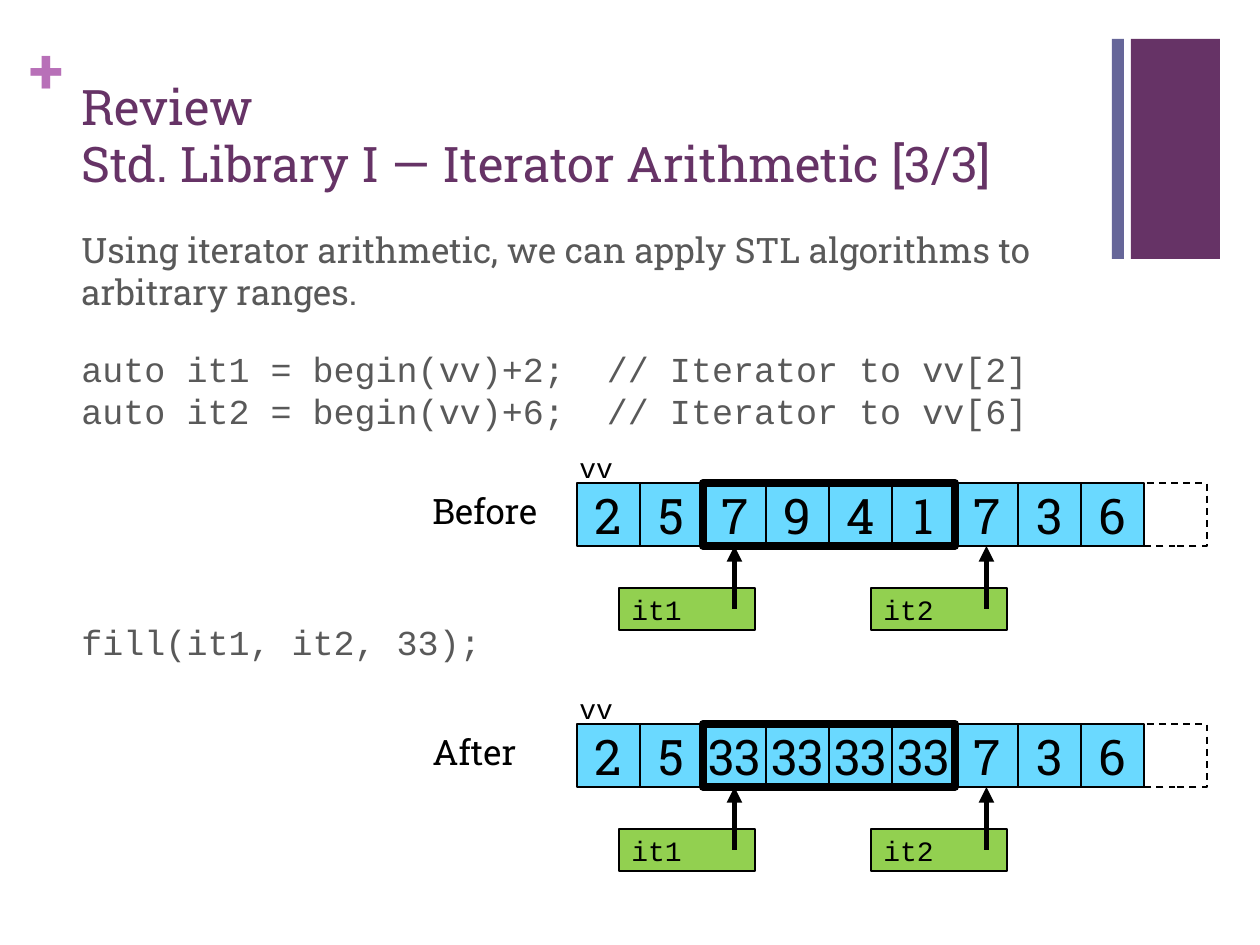
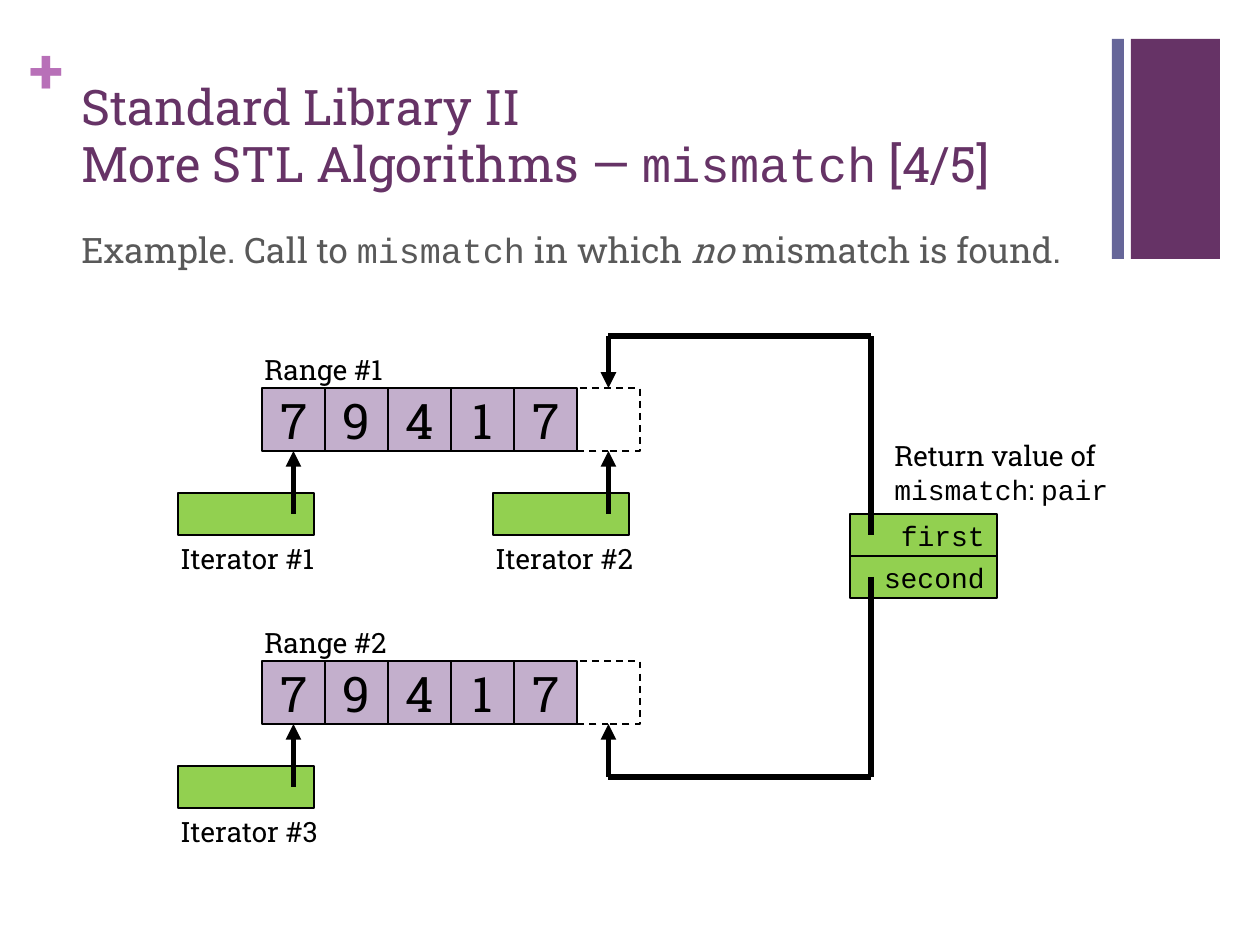
from itertools import pairwise
from lxml import etree
from pptx import Presentation
from pptx import util as u
from pptx.dml.color import RGBColor
from pptx.enum import dml, shapes, text
from pptx.oxml.ns import qn

PX = 914400 / 126
HUE = {
    "plum": "663366", "slate": "666699", "orchid": "B870B8", "gray": "595959",
    "black": "000000", "sky": "6AD9FF", "green": "92D050", "lilac": "C3AFCC",
}
SLAB, MONO = "Roboto Slab", "Courier New"
CODE = {"name": MONO}
MID = text.MSO_ANCHOR.MIDDLE
CELL = 63


def box(page, x, y, w, h, fill=None, edge=0, dash=None):
    spot = [u.Emu(round(v * PX)) for v in (x, y, w, h)]
    if not fill and not edge:
        item = page.shapes.add_textbox(*spot)
        item.text_frame.word_wrap = True
        return item
    item = page.shapes.add_shape(shapes.MSO_SHAPE.RECTANGLE, *spot)
    item.shadow.inherit = False
    if fill:
        item.fill.solid()
        item.fill.fore_color.rgb = RGBColor.from_string(HUE[fill])
    else:
        item.fill.background()
    if edge:
        item.line.color.rgb = RGBColor.from_string(HUE["black"])
        item.line.width = u.Pt(edge)
        if dash:
            item.line.dash_style = dash
    else:
        item.line.fill.background()
    return item


def write(item, paras, size, hue="black", frame=None, para=None):
    body = item.text_frame
    for key, val in (frame or {}).items():
        setattr(body, key, val)
    for n, (runs, gap) in enumerate(paras):
        line = body.add_paragraph() if n else body.paragraphs[0]
        look = {"alignment": text.PP_ALIGN.LEFT, "space_before": u.Pt(gap)}
        for key, val in (look | (para or {})).items():
            setattr(line, key, val)
        for words, form in runs:
            for k, part in enumerate(words.split("\n")):
                if k:
                    line.add_line_break()
                run = line.add_run()
                run.text = part
                font = {"name": SLAB, "size": u.Pt(size)} | form
                for key, val in font.items():
                    setattr(run.font, key, val)
                run.font.color.rgb = RGBColor.from_string(HUE[hue])


deck = Presentation()
deck.slide_width, deck.slide_height = u.Inches(10), u.Inches(7.5)

bare = dict.fromkeys(("margin_left", "margin_right", "margin_top", "margin_bottom"), 0)
mid = {"alignment": text.PP_ALIGN.CENTER}
right = {"alignment": text.PP_ALIGN.RIGHT}

texts = [
    (
        [("Review\nStd. Library I — Iterator Arithmetic [3/3]", {})],
        [
            ([("Using iterator arithmetic, we can apply STL algorithms to arbitrary ranges.", {})], 0),
            ([("auto it1 = begin(vv)+2;  // Iterator to vv[2]\n"
               "auto it2 = begin(vv)+6;  // Iterator to vv[6]", CODE)], 20),
            ([("fill(it1, it2, 33);", CODE)], 108),
        ],
    ),
    (
        [("Standard Library II\nMore STL Algorithms — ", {}), ("mismatch", CODE), (" [4/5]", {})],
        [([("Example. Call to ", {}), ("mismatch", CODE), (" in which ", {}),
           ("no", {"italic": True}), (" mismatch is found.", {})], 0)],
    ),
]

pages = []
for title, body in texts:
    page = deck.slides.add_slide(deck.slide_layouts[6])
    pages.append(page)
    box(page, 1131, 39, 89, 220, "plum")
    box(page, 1112, 39, 12, 220, "slate")
    plus = box(page, 30, 31, 37, 77)
    write(plus, [([("+", {"bold": True})], 0)], 36, "orchid", bare)
    head = box(page, 69, 67, 1041, 132)
    write(head, [(title, 0)], 28, "plum", {"vertical_anchor": text.MSO_ANCHOR.BOTTOM},
          {"line_spacing": u.Pt(33)})
    write(box(page, 69, 222, 1041, 650), body, 20, "gray", para={"line_spacing": u.Pt(24)})

demo, match = pages
rows = [
    (demo, 577, 483, "sky", "vv", CODE, "2 5 7 9 4 1 7 3 6", {2: "it1", 6: "it2"}),
    (demo, 577, 724, "sky", "vv", CODE, "2 5 33 33 33 33 7 3 6", {2: "it1", 6: "it2"}),
    (match, 262, 388, "lilac", "Range #1", {}, "7 9 4 1 7", {0: "Iterator #1", 5: "Iterator #2"}),
    (match, 262, 661, "lilac", "Range #2", {}, "7 9 4 1 7", {0: "Iterator #3"}),
]

paths, ends = [], []
for page, x, y, hue, name, form, vals, tags in rows:
    write(box(page, x - 10, y - (39 if form else 42), 315, 46), [([(name, form)], 0)], 16)
    cells = []
    for n, val in enumerate(vals.split()):
        cell = box(page, x + n * CELL, y, CELL, CELL, hue, 1)
        write(cell, [([(val, {})], 0)], 28, frame=bare | {"vertical_anchor": MID, "word_wrap": False}, para=mid)
        cells.append(cell)
    slot = box(page, x + len(cells) * CELL, y, CELL, CELL, edge=1, dash=dml.MSO_LINE.DASH)
    cells.append(slot)
    ends.append(slot)
    for n, tag in tags.items():
        left = x + n * CELL - 84
        chip = box(page, left, y + 105, 136, 42, "green", 1)
        if page is demo:
            write(chip, [([(tag, CODE)], 0)], 16, frame={"vertical_anchor": MID})
        else:
            write(box(page, left - 10, y + 147, 189, 46), [([(tag, {})], 0)], 16)
        mast = x + n * CELL + CELL / 2
        paths.append((page, [(mast, y + 126), (mast, y + CELL)], cells[n], 2))

for label, y in (("Before", 483), ("After", 724)):
    write(box(demo, 420, y, 179, 55), [([(label, {})], 0)], 20)
    box(demo, 577 + 2 * CELL, y, 4 * CELL, CELL, edge=4.5)

for n, part in enumerate(("first", "second")):
    half = box(match, 850, 514 + n * 42, 147, 42, "green", 1)
    write(half, [([(part, CODE)], 0)], 16, frame={"vertical_anchor": MID}, para=right)
note = [("Return value of ", {}), ("mismatch", CODE), (": ", {}), ("pair", CODE)]
write(box(match, 882, 432, 262, 81), [(note, 0)], 16, para={"line_spacing": u.Pt(19.4)})

mast = 262 + 5.5 * CELL
for start, bend, stop, slot, side in ((535, 336, 388, ends[2], 0), (577, 777, 724, ends[3], 2)):
    paths.append((match, [(871, start), (871, bend), (mast, bend), (mast, stop)], slot, side))

for page, spots, goal, side in paths:
    for a, b in pairwise(spots):
        wire = page.shapes.add_connector(
            shapes.MSO_CONNECTOR.STRAIGHT, *[u.Emu(round(v * PX)) for v in a + b])
        wire.line.color.rgb = RGBColor.from_string(HUE["black"])
        wire.line.width = u.Pt(3)
        props = wire.element.spPr
        if b == spots[-1]:
            wire.end_connect(goal, side)
            etree.SubElement(props.find(qn("a:ln")), qn("a:tailEnd"), type="triangle")
        etree.SubElement(props, qn("a:effectLst"))

deck.save("out.pptx")
